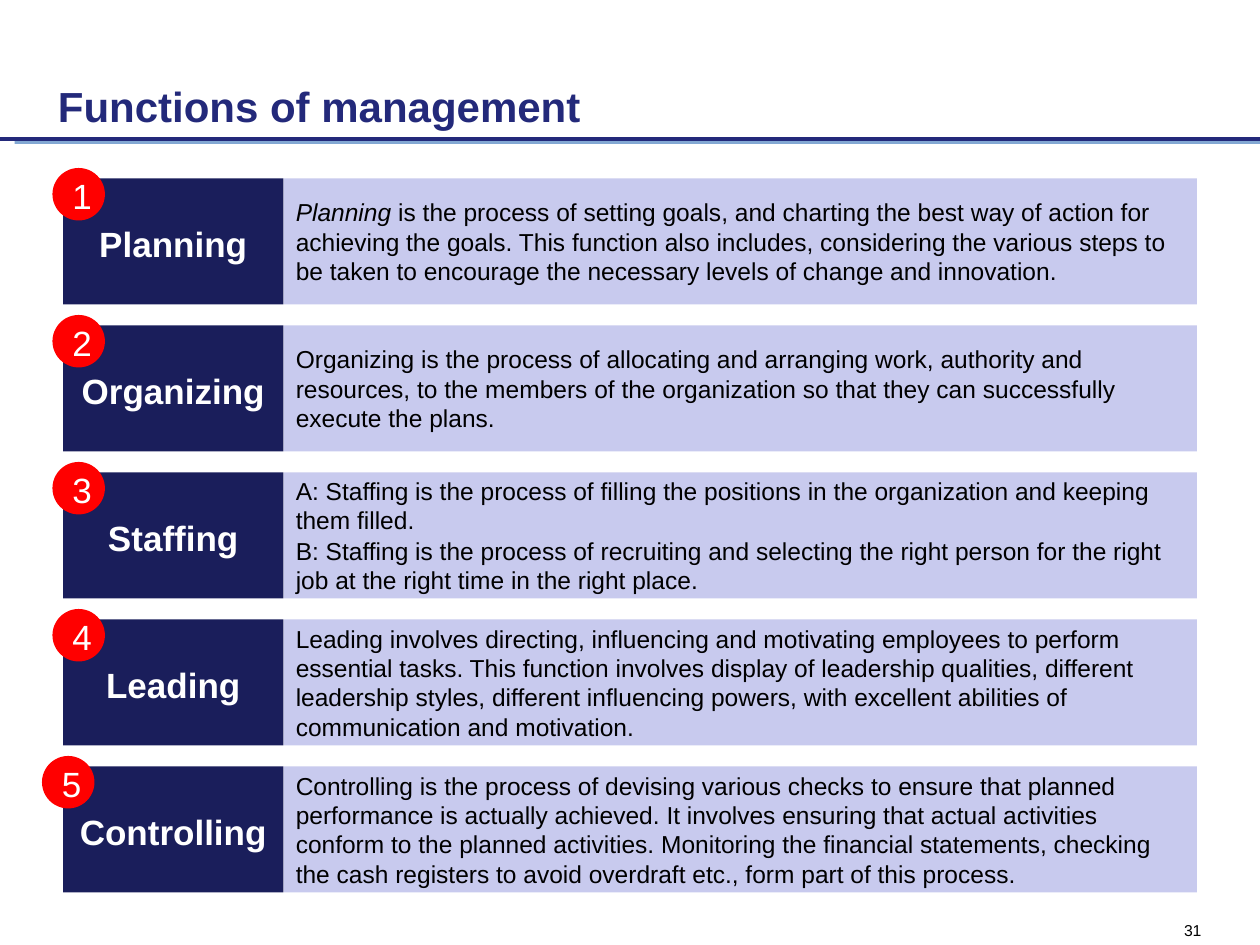
"""Build the "Functions of management" slide."""
from lxml import etree
from pptx import Presentation
from pptx import util as u
from pptx.dml.color import RGBColor
from pptx.enum import shapes, text
from pptx.oxml.ns import qn

TITLE = "Functions of management"
PAGE = "31"
FUNCTIONS = [
    ("Planning", [[
        ("Planning", True),
        (" is the process of setting goals, and charting the best way of action for "
         "achieving the goals. This function also includes, considering the various steps to "
         "be taken to encourage the necessary levels of change and innovation.", False)]]),
    ("Organizing", [[
        ("Organizing is the process of allocating and arranging work, authority and "
         "resources, to the members of the organization so that they can successfully "
         "execute the plans.", False)]]),
    ("Staffing", [
        [("A: Staffing is the process of filling the positions in the organization and keeping "
          "them filled.", False)],
        [("B: Staffing is the process of recruiting and selecting the right person for the right "
          "job at the right time in the right place.", False)]]),
    ("Leading", [[
        ("Leading involves directing, influencing and motivating employees to perform "
         "essential tasks. This function involves display of leadership qualities, different "
         "leadership styles, different influencing powers, with excellent abilities of "
         "communication and motivation.", False)]]),
    ("Controlling", [[
        ("Controlling is the process of devising various checks to ensure that planned "
         "performance is actually achieved. It involves ensuring that actual activities "
         "conform to the planned activities. Monitoring the financial statements, checking "
         "the cash registers to avoid overdraft etc., form part of this process.", False)]]),
]
THEME = {
    "font": "Arial",
    "navy": "23297A", "label": "1A1E5B", "panel": "C8CAEE", "badge": "FF0000",
    "bar": "5A8CC5", "white": "FFFFFF", "black": "000000",
    "title_size": 24, "label_size": 20, "body_size": 14, "page_size": 9,
}
WIDTH, HEIGHT = 720, 540
LEFT, TOP, ROW_H, PITCH = 36, 102, 72, 84
LABEL_W, PANEL_W = 126, 522
BADGE, BADGE_RISE = 30, 6
BADGE_LEFTS = [30, 30, 30, 30, 24]


def color(name):
    return RGBColor.from_string(THEME[name])


def write(sp, paragraphs, *, size, fill, bold=False, align=text.PP_ALIGN.LEFT,
          insets=(0, 0, 0, 0), leading=None, wrap=True):
    tf = sp.text_frame
    tf.word_wrap = wrap
    tf.auto_size = text.MSO_AUTO_SIZE.NONE
    tf.vertical_anchor = text.MSO_ANCHOR.MIDDLE
    tf.margin_left, tf.margin_top, tf.margin_right, tf.margin_bottom = map(u.Pt, insets)
    for i, runs in enumerate(paragraphs):
        p = tf.add_paragraph() if i else tf.paragraphs[0]
        p.alignment = align
        p.space_before = u.Pt(0.7 if i else 0)
        if leading:
            p.line_spacing = u.Pt(leading)
        for words, italic in runs:
            r = p.add_run()
            r.text = words
            r.font.name, r.font.size = THEME["font"], u.Pt(THEME[size])
            r.font.bold, r.font.italic = bold, italic
            r.font.color.rgb = color(fill)


def block(s, kind, box, fill):
    sp = s.shapes.add_shape(kind, *map(u.Pt, box))
    sp.shadow.inherit = False
    sp.fill.solid()
    sp.fill.fore_color.rgb = color(fill)
    sp.line.fill.background()
    return sp


def add_header(s):
    bar = block(s, shapes.MSO_SHAPE.RECTANGLE, (8.4, 80, WIDTH - 8.4, 2.3), "bar")
    tint = bar.fill._xPr.find(".//" + qn("a:srgbClr"))
    etree.SubElement(tint, qn("a:alpha"), val="75000")
    rule = s.shapes.add_connector(shapes.MSO_CONNECTOR.STRAIGHT,
                                  u.Pt(0), u.Pt(79.2), u.Pt(WIDTH), u.Pt(79.2))
    rule.line.color.rgb, rule.line.width = color("navy"), u.Pt(2.25)
    etree.SubElement(rule._element.spPr, qn("a:effectLst"))
    title = s.shapes.title
    title.left, title.top, title.width, title.height = map(u.Pt, (32.4, 44.6, 300, 31))
    write(title, [[(TITLE, False)]], size="title_size", fill="navy", bold=True,
          insets=(0.7, 1, 0, 0), wrap=False)


def add_function(s, i, label, paragraphs):
    rect, oval = shapes.MSO_SHAPE.RECTANGLE, shapes.MSO_SHAPE.OVAL
    center = text.PP_ALIGN.CENTER
    top = TOP + i * PITCH
    panel = block(s, rect, (LEFT + LABEL_W, top, PANEL_W, ROW_H), "panel")
    write(panel, paragraphs, size="body_size", fill="black",
          insets=(7, 0, 12, 0), leading=16.75)
    name = block(s, rect, (LEFT, top, LABEL_W, ROW_H), "label")
    write(name, [[(label, False)]], size="label_size", fill="white", bold=True,
          align=center, insets=(0, 2, 0, 0))
    badge = block(s, oval, (BADGE_LEFTS[i], top - BADGE_RISE, BADGE, BADGE), "badge")
    write(badge, [[(str(i + 1), False)]], size="label_size", fill="white",
          align=center, insets=(4, 2, 0, 0), wrap=False)


def main():
    prs = Presentation()
    prs.slide_width, prs.slide_height = u.Pt(WIDTH), u.Pt(HEIGHT)
    s = prs.slides.add_slide(prs.slide_layouts[5])
    add_header(s)
    for i, (label, paragraphs) in enumerate(FUNCTIONS):
        add_function(s, i, label, paragraphs)
    page = s.shapes.add_textbox(*map(u.Pt, (674, 525.4, 16, 12)))
    write(page, [[(PAGE, False)]], size="page_size", fill="black",
          insets=(2.6, 0, 0, 0), wrap=False)
    prs.save("out.pptx")


if __name__ == "__main__":
    main()
